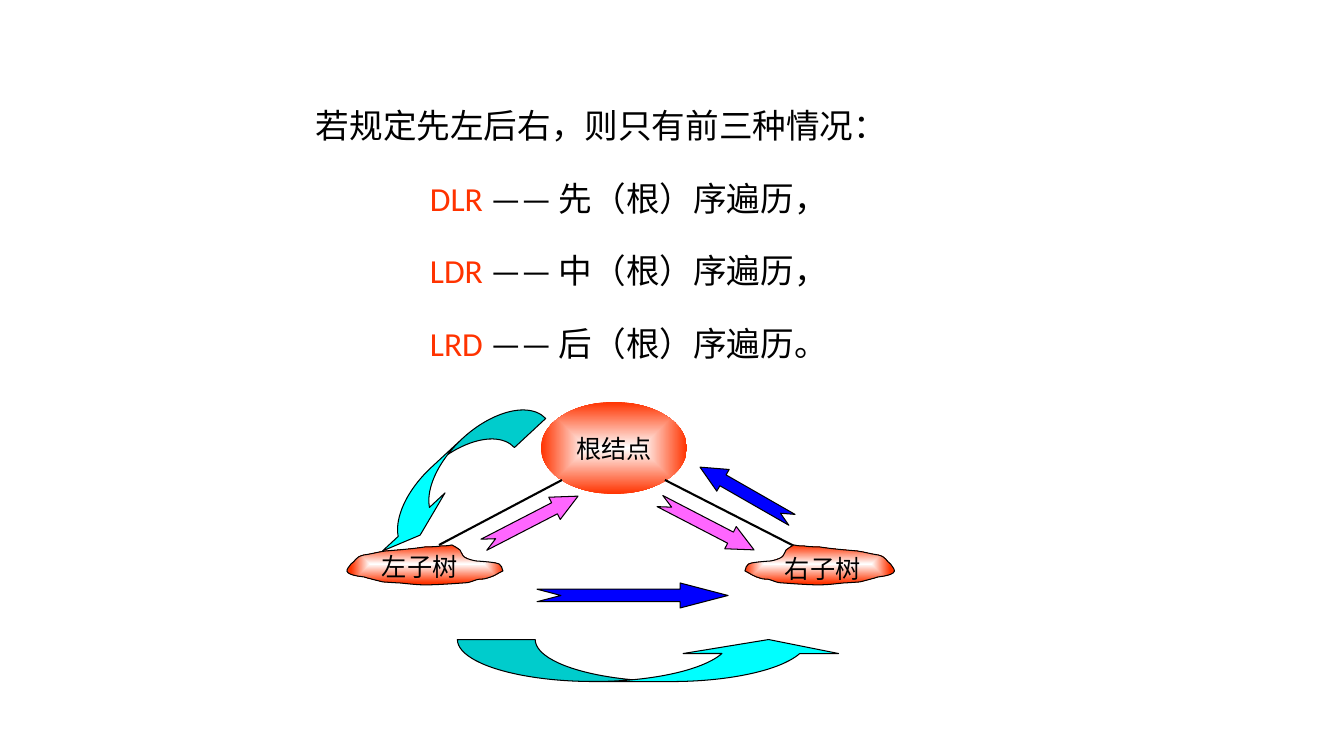
from pptx import Presentation
from pptx.dml.color import RGBColor
from pptx.enum.shapes import MSO_CONNECTOR, MSO_SHAPE
from pptx.enum.text import MSO_ANCHOR, MSO_AUTO_SIZE, PP_ALIGN
from pptx.oxml.ns import qn
from pptx.util import Emu, Pt
from lxml import etree

CURVED, NOTCHED = MSO_SHAPE.CURVED_RIGHT_ARROW, MSO_SHAPE.NOTCHED_RIGHT_ARROW
OVAL, STRAIGHT = MSO_SHAPE.OVAL, MSO_CONNECTOR.STRAIGHT
CENTER, MIDDLE = PP_ALIGN.CENTER, MSO_ANCHOR.MIDDLE
GROW = MSO_AUTO_SIZE.SHAPE_TO_FIT_TEXT
SCALE = 914400 / 100.8
LATIN, CJK = "Calibri", "Noto Sans CJK SC"
BLACK, WHITE, RED = "000000", "FFFFFF", "FF3300"
CYAN, PINK, BLUE = "00FFFF", "FF66FF", "0000FF"

INTRO = "若规定先左后右，则只有前三种情况："
ORDERS = [
    ("DLR ", "—— 先（根）序遍历，"),
    ("LDR ", "—— 中（根）序遍历，"),
    ("LRD ", "—— 后（根）序遍历。"),
]
INTRO_BOX, ORDER_INDENT = (306, 68, 603, 300), 114

ARROWS = [
    (CURVED, (432, 369, 42, 214), 47.1, (1.016, 2.032, 0.333), CYAN),
    (CURVED, (631, 466, 42, 389), 270, (1.853, 3.705, 0.333), CYAN),
    (NOTCHED, (478, 508, 106, 25), 332.7, (0.5, 1.06), PINK),
    (NOTCHED, (654, 513, 106, 25), 27.4, (0.5, 1.06), PINK),
    (NOTCHED, (693, 481, 106, 25), 209.8, (0.5, 1.06), BLUE),
    (NOTCHED, (537, 583, 191, 25), 0, (0.5, 1.917), BLUE),
]
ROOT = ("根结点", (541, 402, 146, 92))
BRANCHES = [(562, 480, 439, 545), (665, 480, 798, 548)]
SUBTREES = [
    ("左子树", (372, 546, 104, 40), 339, 166, False),
    ("右子树", (775, 548, 104, 40), 743, 159, True),
]
SUBTREE_TOP, OUTLINE_WIDTH = 545, 166
OUTLINE_START = (113, 0)
OUTLINE_CURVES = [
    ((108, 1), (105, 1), (102, 1)),
    ((97, 2), (86, 2), (86, 2)),
    ((73, 4), (59, 5), (47, 6)),
    ((39, 7), (33, 9), (25, 10)),
    ((16, 12), (17, 16), (12, 19)),
    ((9, 24), (0, 29), (25, 32)),
    ((28, 33), (40, 36), (44, 37)),
    ((45, 37), (59, 38), (61, 38)),
    ((82, 40), (82, 41), (124, 38)),
    ((131, 38), (133, 36), (137, 35)),
    ((139, 34), (142, 34), (145, 34)),
    ((157, 31), (157, 29), (164, 26)),
    ((161, 19), (166, 18), (137, 16)),
    ((121, 13), (124, 9), (121, 5)),
    ((119, 3), (116, 2), OUTLINE_START),
]


def px(n):
    return Emu(round(n * SCALE))


def place(box):
    return [px(n) for n in box]


def color(value):
    return RGBColor.from_string(value)


def outline(s, width):
    s.line.color.rgb = color(BLACK)
    s.line.width = Pt(width)


def glow(s, path):
    s.fill.gradient()
    for stop, value in zip(s.fill.gradient_stops, (WHITE, RED)):
        stop.color.rgb = color(value)
    grad = s._element.spPr.find(qn("a:gradFill"))
    grad.remove(grad.find(qn("a:lin")))
    node = etree.SubElement(grad, qn("a:path"), path=path)
    etree.SubElement(node, qn("a:fillToRect"), l="50000", t="50000", r="50000", b="50000")


def add_run(p, text, size, value=BLACK, font=LATIN):
    r = p.add_run()
    r.text = text
    r.font.size = Pt(size)
    r.font.name = font
    r.font.color.rgb = color(value)
    etree.SubElement(r._r.get_or_add_rPr(), qn("a:ea"), typeface=CJK)


def add_textbox(shapes, box):
    tf = shapes.add_textbox(*place(box)).text_frame
    tf.word_wrap = False
    tf.auto_size = GROW
    return tf


def add_subtree(shapes, left, width, mirrored):
    def spot(point):
        x, y = point
        x = OUTLINE_WIDTH - x if mirrored else x
        return px(left + x * width / OUTLINE_WIDTH), px(SUBTREE_TOP + y)

    builder = shapes.build_freeform(*spot(OUTLINE_START), scale=1.0)
    builder.add_line_segments([spot(curve[2]) for curve in OUTLINE_CURVES], close=True)
    s = builder.convert_to_shape()
    lines = list(s._element.iter(qn("a:lnTo")))
    for line, curve in zip(lines, OUTLINE_CURVES):
        bezier = etree.Element(qn("a:cubicBezTo"))
        for point in curve:
            x, y = spot(point)
            etree.SubElement(bezier, qn("a:pt"), x=str(x - s.left), y=str(y - s.top))
        line.getparent().replace(line, bezier)
    s.shadow.inherit = False
    glow(s, "rect")
    outline(s, 0.75)


def add_orders(shapes):
    tf = add_textbox(shapes, INTRO_BOX)
    p = tf.paragraphs[0]
    p.line_spacing = 1.8
    add_run(p, INTRO, 24)
    for code, meaning in ORDERS:
        p = tf.add_paragraph()
        p.line_spacing = 1.8
        pPr = p._p.get_or_add_pPr()
        pPr.set("marL", str(px(ORDER_INDENT)))
        pPr.set("indent", "0")
        add_run(p, code, 24, RED)
        add_run(p, meaning, 24)


def add_arrows(shapes):
    for kind, box, angle, adjustments, value in ARROWS:
        s = shapes.add_shape(kind, *place(box))
        s.shadow.inherit = False
        s.rotation = angle
        for i, amount in enumerate(adjustments):
            s.adjustments[i] = amount
        s.fill.solid()
        s.fill.fore_color.rgb = color(value)
        outline(s, 0.75)


def add_tree(shapes):
    text, box = ROOT
    s = shapes.add_shape(OVAL, *place(box))
    s.shadow.inherit = False
    glow(s, "shape")
    s.line.fill.background()
    tf = s.text_frame
    tf.word_wrap = False
    tf.vertical_anchor = MIDDLE
    p = tf.paragraphs[0]
    p.alignment = CENTER
    add_run(p, text, 18)

    for ends in BRANCHES:
        s = shapes.add_connector(STRAIGHT, *place(ends))
        outline(s, 1.5)
        etree.SubElement(s._element.spPr, qn("a:effectLst"))

    for text, box, left, width, mirrored in SUBTREES:
        add_subtree(shapes, left, width, mirrored)
    for text, box, left, width, mirrored in SUBTREES:
        tf = add_textbox(shapes, box)
        add_run(tf.paragraphs[0], text, 18, font=CJK)


def main():
    prs = Presentation()
    prs.slide_width, prs.slide_height = px(1344), px(756)
    shapes = prs.slides.add_slide(prs.slide_layouts[6]).shapes
    add_orders(shapes)
    add_arrows(shapes)
    add_tree(shapes.add_group_shape().shapes)
    prs.save("out.pptx")


if __name__ == "__main__":
    main()
